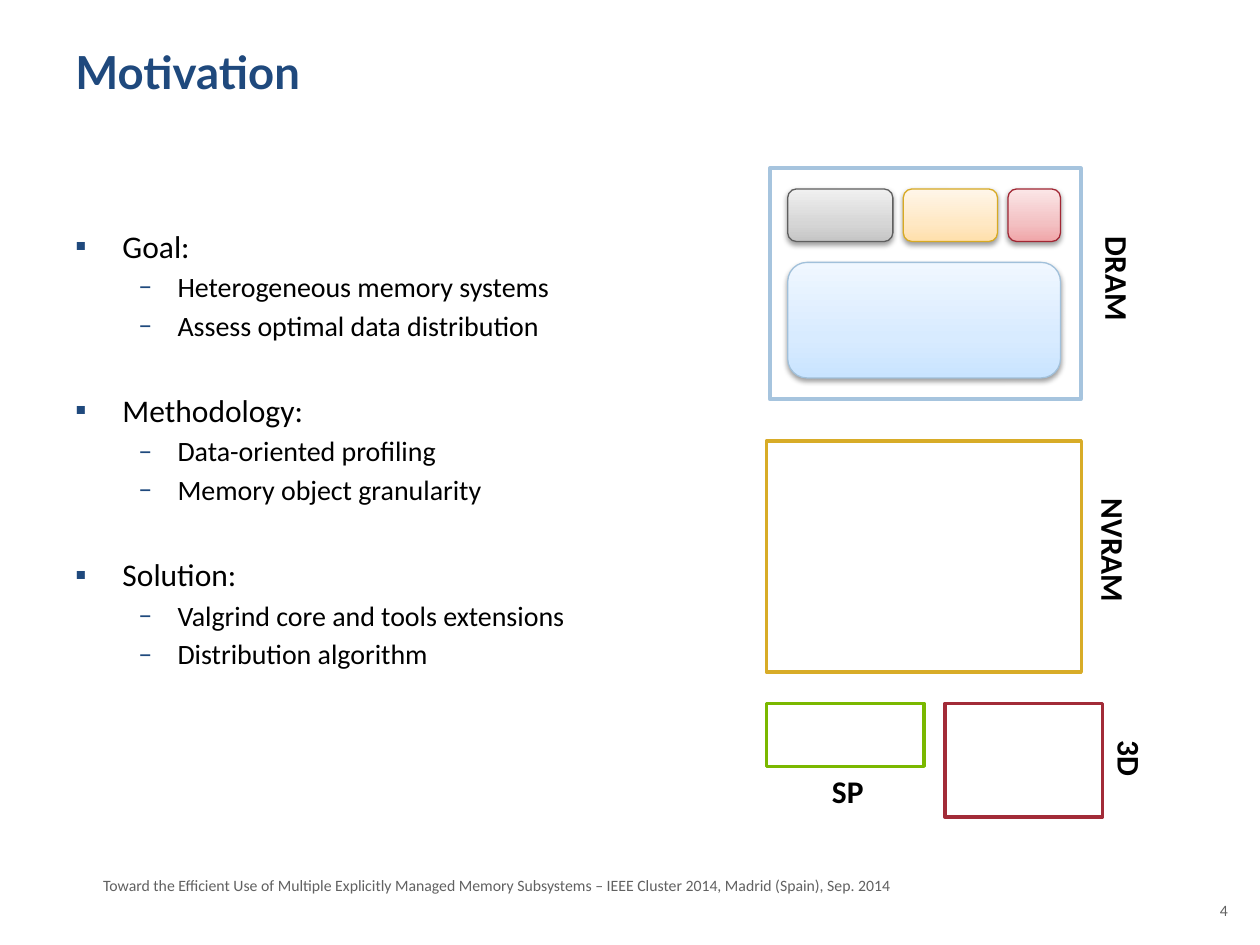
from dataclasses import dataclass
from typing import Any

from lxml.etree import SubElement
from pptx import Presentation
from pptx.dml.color import RGBColor
from pptx.enum.shapes import MSO_SHAPE
from pptx.enum.text import MSO_ANCHOR, PP_ALIGN
from pptx.oxml import parse_xml
from pptx.oxml.ns import nsdecls, qn
from pptx.util import Cm, Pt

BLACK = RGBColor(0x00, 0x00, 0x00)
WHITE = RGBColor(0xFF, 0xFF, 0xFF)
NAVY = RGBColor(0x1F, 0x49, 0x7D)
FOOTER_GRAY = RGBColor(0x61, 0x61, 0x61)
RED = RGBColor(0xA2, 0x2B, 0x38)
GREEN = RGBColor(0x7A, 0xB8, 0x00)
GOLD = RGBColor(0xD8, 0xAC, 0x28)
LIGHT_BLUE = RGBColor(0xA6, 0xC4, 0xDE)

GRAY_RAMP = [RGBColor.from_string(code) for code in ("C5C5C5", "D6D6D6", "F0F0F0")]
BLUE_RAMP = [RGBColor.from_string(code) for code in ("C9E4FF", "D8EBFF", "F0F7FF")]
GOLD_RAMP = [RGBColor.from_string(code) for code in ("FFDFAB", "FFE8C4", "FFF6E9")]
RED_RAMP = [RGBColor.from_string(code) for code in ("F0A5A8", "F3C1C3", "FBE6E7")]
RAMP_POSITIONS = (0, 35000, 100000)
GRAY_EDGE = RGBColor(0x5F, 0x5F, 0x5F)
BLUE_EDGE = RGBColor(0xA1, 0xC0, 0xDA)
GOLD_EDGE = RGBColor(0xD8, 0xAA, 0x23)
RED_EDGE = RGBColor(0xA1, 0x27, 0x34)

TITLE_FORMAT = {"name": "Lato", "size": Pt(26), "bold": True}
LABEL_FORMAT = {"name": "Calibri", "size": Pt(18), "bold": True}
FOOTER_FORMAT = {"name": "Calibri", "size": Pt(9)}


@dataclass(frozen=True)
class Box:
    left: float
    top: float
    width: float
    height: float

    def lengths(self) -> tuple:
        return Cm(self.left), Cm(self.top), Cm(self.width), Cm(self.height)


@dataclass(frozen=True)
class Memory:
    box: Box
    edge: RGBColor


@dataclass(frozen=True)
class DataObject:
    box: Box
    ramp: list
    edge: RGBColor


@dataclass(frozen=True)
class Label:
    text: str
    left: float
    top: float
    rotation: int = 90


@dataclass(frozen=True)
class Level:
    bullet: str
    margin: float
    hanging: float
    size: int
    space_before: float


TOPIC = Level("▪", 0.95, 0.95, 18, 28.3)
DETAIL = Level("–", 2.06, 0.79, 16, 2.8)

TOPICS = {
    "Goal:": ["Heterogeneous memory systems", "Assess optimal data distribution"],
    "Methodology:": ["Data-oriented profiling", "Memory object granularity"],
    "Solution:": ["Valgrind core and tools extensions", "Distribution algorithm"],
}

MEMORIES = [
    Memory(Box(19.05, 14.18, 3.18, 2.29), RED),
    Memory(Box(15.45, 14.18, 3.18, 1.27), GREEN),
    Memory(Box(15.45, 8.89, 6.35, 4.66), GOLD),
    Memory(Box(15.52, 3.39, 6.27, 4.66), LIGHT_BLUE),
]

OBJECT_LEFT = 15.88
OBJECT_GAP = 0.21
SMALL_OBJECTS = [
    (2.12, GRAY_RAMP, GRAY_EDGE),
    (1.9, GOLD_RAMP, GOLD_EDGE),
    (1.06, RED_RAMP, RED_EDGE),
]

LABELS = [
    Label("DRAM", 21.11, 5.11),
    Label("NVRAM", 21.03, 10.59),
    Label("SP", 15.67, 15.44, 0),
    Label("3D", 21.36, 14.78),
]


def apply_format(target: Any, values: dict) -> None:
    for name, value in values.items():
        setattr(target, name, value)


def add_text_frame(slide: Any, box: Box, rotation: int = 0) -> Any:
    shape = slide.shapes.add_textbox(*box.lengths())
    shape.rotation = rotation
    apply_format(shape.text_frame, {"word_wrap": True, "vertical_anchor": MSO_ANCHOR.TOP})
    return shape.text_frame


def add_text(slide: Any, text: str, box: Box, values: dict, color: RGBColor,
             alignment: Any = PP_ALIGN.LEFT, rotation: int = 0) -> None:
    paragraph = add_text_frame(slide, box, rotation).paragraphs[0]
    paragraph.text = text
    paragraph.alignment = alignment
    apply_format(paragraph.font, values)
    paragraph.font.color.rgb = color


def add_bullet(paragraph: Any, text: str, level: Level, first: bool) -> None:
    paragraph.text = text
    properties = paragraph._p.get_or_add_pPr()
    properties.set("marL", str(Cm(level.margin)))
    properties.set("indent", str(-Cm(level.hanging)))
    paragraph.space_before = Pt(0 if first else level.space_before)
    bullet_color = SubElement(properties, qn("a:buClr"))
    SubElement(bullet_color, qn("a:srgbClr"), val=str(NAVY))
    SubElement(properties, qn("a:buFont"), typeface="Calibri")
    SubElement(properties, qn("a:buChar"), char=level.bullet)
    apply_format(paragraph.font, {"name": "Calibri", "size": Pt(level.size)})
    paragraph.font.color.rgb = BLACK


def add_outline(slide: Any, box: Box) -> None:
    frame = add_text_frame(slide, box)
    lines = []
    for topic, details in TOPICS.items():
        lines += [(topic, TOPIC)] + [(detail, DETAIL) for detail in details]
    for index, (text, level) in enumerate(lines):
        paragraph = frame.add_paragraph() if index else frame.paragraphs[0]
        add_bullet(paragraph, text, level, first=index == 0)


def add_block(slide: Any, kind: Any, box: Box, edge: RGBColor, line_width: float) -> Any:
    shape = slide.shapes.add_shape(kind, *box.lengths())
    shape.shadow.inherit = False
    shape.line.color.rgb = edge
    shape.line.width = Pt(line_width)
    return shape


def add_memory(slide: Any, memory: Memory) -> None:
    shape = add_block(slide, MSO_SHAPE.RECTANGLE, memory.box, memory.edge, 2)
    shape.fill.solid()
    shape.fill.fore_color.rgb = WHITE


def add_data_object(slide: Any, item: DataObject) -> None:
    shape = add_block(slide, MSO_SHAPE.ROUNDED_RECTANGLE, item.box, item.edge, 0.75)
    stops = "".join(
        f'<a:gs pos="{position}"><a:srgbClr val="{color}"/></a:gs>'
        for position, color in zip(RAMP_POSITIONS, item.ramp)
    )
    properties = shape._element.spPr
    properties.find(qn("a:prstGeom")).addnext(parse_xml(
        f'<a:gradFill {nsdecls("a")} rotWithShape="1"><a:gsLst>{stops}</a:gsLst>'
        '<a:lin ang="16200000" scaled="0"/></a:gradFill>'
    ))
    properties.find(qn("a:effectLst")).append(parse_xml(
        f'<a:outerShdw {nsdecls("a")} blurRad="{Pt(3.1)}" dist="{Pt(1.6)}" dir="5400000"'
        f' rotWithShape="0"><a:srgbClr val="{BLACK}"><a:alpha val="38000"/></a:srgbClr>'
        '</a:outerShdw>'
    ))


def main() -> None:
    presentation = Presentation()
    apply_format(presentation, {"slide_width": Cm(25.4), "slide_height": Cm(19.05)})
    slide = presentation.slides.add_slide(presentation.slide_layouts[6])

    add_text(slide, "Motivation", Box(1.27, 0.76, 22.86, 3.18), TITLE_FORMAT, NAVY)
    add_outline(slide, Box(1.27, 4.45, 11.23, 12.57))
    for memory in MEMORIES:
        add_memory(slide, memory)

    left = OBJECT_LEFT
    for width, ramp, edge in SMALL_OBJECTS:
        add_data_object(slide, DataObject(Box(left, 3.81, width, 1.06), ramp, edge))
        left += width + OBJECT_GAP
    large_box = Box(OBJECT_LEFT, 5.29, left - OBJECT_GAP - OBJECT_LEFT, 2.33)
    add_data_object(slide, DataObject(large_box, BLUE_RAMP, BLUE_EDGE))

    for label in LABELS:
        add_text(slide, label.text, Box(label.left, label.top, 2.84, 1.02), LABEL_FORMAT,
                 BLACK, PP_ALIGN.CENTER, label.rotation)
    add_text(slide, "Toward the Efficient Use of Multiple Explicitly Managed Memory Subsystems"
             " – IEEE Cluster 2014, Madrid (Spain), Sep. 2014",
             Box(1.83, 17.53, 16.51, 0.64), FOOTER_FORMAT, FOOTER_GRAY)
    add_text(slide, "4", Box(23.93, 18.03, 1.07, 1.02), FOOTER_FORMAT, FOOTER_GRAY,
             PP_ALIGN.RIGHT)
    presentation.save("out.pptx")


if __name__ == "__main__":
    main()
